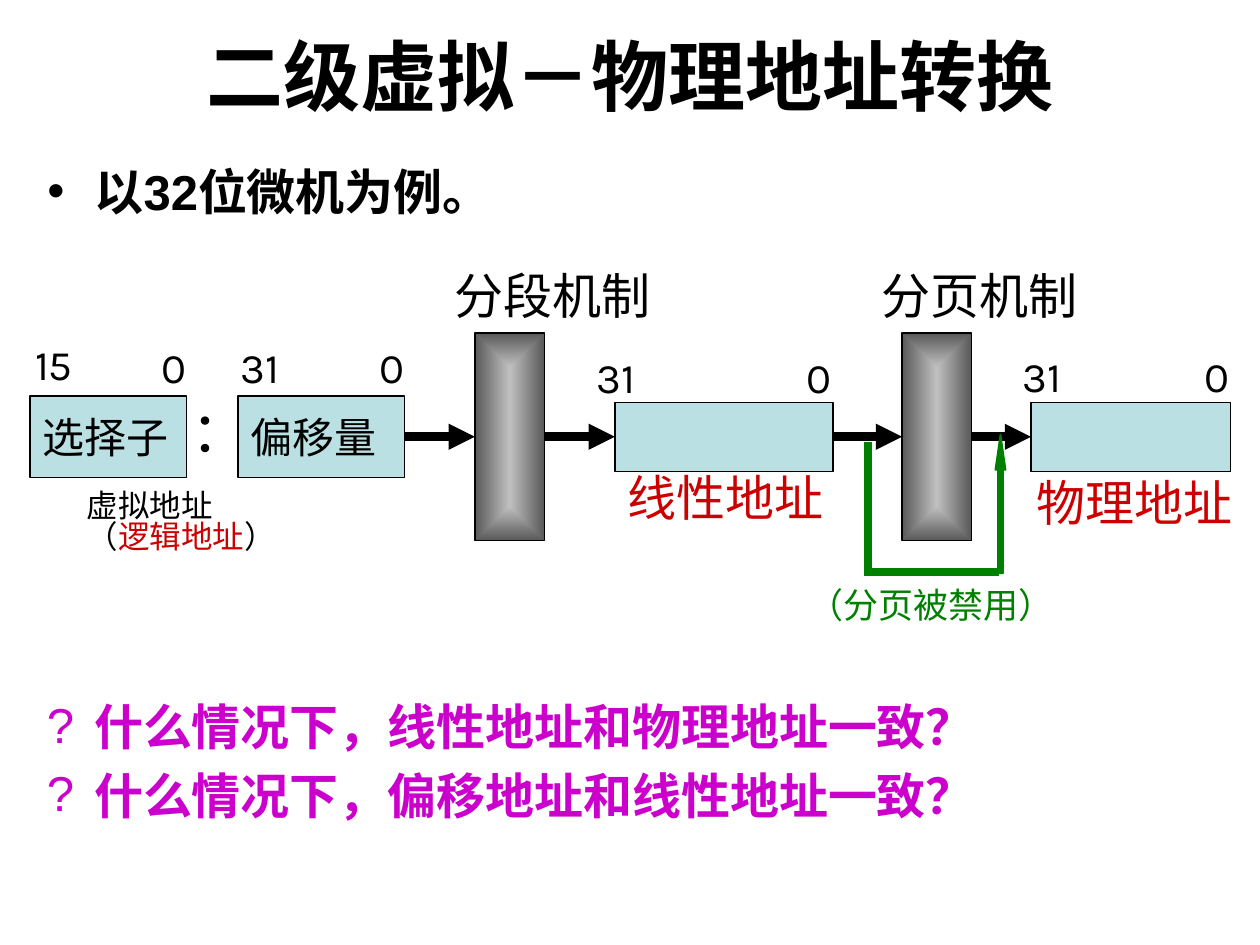
from dataclasses import dataclass

from lxml.etree import SubElement
from pptx import Presentation
from pptx.dml.color import RGBColor as Color
from pptx.enum.shapes import MSO_CONNECTOR as Connector, MSO_SHAPE as Shape
from pptx.enum.text import MSO_ANCHOR as Anchor, MSO_AUTO_SIZE as AutoSize, PP_ALIGN as Align
from pptx.oxml.ns import qn
from pptx.util import Pt


@dataclass(frozen=True)
class Theme:
    """Colours, fonts and type sizes of the slide."""
    black: str = "000000"
    red: str = "CC0000"
    green: str = "008000"
    magenta: str = "CC00CC"
    pale: str = "BBE0E3"
    silver: str = "C0C0C0"
    grey: str = "595959"
    sans: str = "Arial"
    label: str = "Karla"
    title_size: int = 44
    colon_size: int = 32
    list_size: int = 28
    box_size: int = 24
    note_size: int = 20
    small_size: int = 18


class SlideBuilder:
    """Draws each kind of element on the current slide."""

    def __init__(self, slide, theme):
        self.slide = slide
        self.theme = theme

    def add_run(self, paragraph, text, size, color, font, bold=False):
        """Append one formatted run."""
        run = paragraph.add_run()
        run.text = text
        run.font.size = Pt(size)
        run.font.name = font
        run.font.bold = bold
        run.font.color.rgb = Color.from_string(color)

    def place(self, shape, left, top, width, height):
        """Move and size a shape."""
        shape.left, shape.top = Pt(left), Pt(top)
        shape.width, shape.height = Pt(width), Pt(height)

    def indent(self, paragraph, amount):
        """Give a paragraph a hanging indent."""
        properties = paragraph._p.get_or_add_pPr()
        properties.set("marL", str(Pt(amount)))
        properties.set("indent", str(-Pt(amount)))
        return properties

    def title(self, text, *place):
        """Fill the title placeholder."""
        shape = self.slide.shapes.title
        self.place(shape, *place)
        frame = shape.text_frame
        frame.auto_size = AutoSize.NONE
        frame.vertical_anchor = Anchor.MIDDLE
        paragraph = frame.paragraphs[0]
        paragraph.alignment = Align.CENTER
        self.add_run(paragraph, text, self.theme.title_size, self.theme.black, self.theme.sans, True)

    def bullets(self, shape, items, mark, color, *place):
        """Fill a shape with a bulleted list."""
        self.place(shape, *place)
        frame = shape.text_frame
        frame.word_wrap = True
        frame.auto_size = AutoSize.NONE
        for index, item in enumerate(items):
            paragraph = frame.add_paragraph() if index else frame.paragraphs[0]
            paragraph.space_before = Pt(0.2 * self.theme.list_size)
            properties = self.indent(paragraph, 27)
            SubElement(properties, qn("a:buFont"), typeface=self.theme.sans)
            SubElement(properties, qn("a:buChar"), char=mark)
            self.add_run(paragraph, item, self.theme.list_size, color, self.theme.sans, True)

    def label(self, lines, size, font, place, indent=0, spacing=None):
        """Add unwrapped text, each line a list of text and colour pairs."""
        frame = self.slide.shapes.add_textbox(*map(Pt, place)).text_frame
        frame.word_wrap = False
        frame.auto_size = AutoSize.SHAPE_TO_FIT_TEXT
        for index, line in enumerate(lines):
            paragraph = frame.add_paragraph() if index else frame.paragraphs[0]
            if indent:
                self.indent(paragraph, indent)
            if spacing:
                paragraph.line_spacing = spacing
            for text, color in line:
                self.add_run(paragraph, text, size, color, font)

    def shape(self, kind, color, line_color, line_width, place):
        """Add a filled and outlined preset shape."""
        shape = self.slide.shapes.add_shape(kind, *map(Pt, place))
        shape.shadow.inherit = False
        shape.fill.solid()
        shape.fill.fore_color.rgb = Color.from_string(color)
        shape.line.color.rgb = Color.from_string(line_color)
        shape.line.width = Pt(line_width)
        return shape

    def box(self, left, width, height, axis, text=""):
        """Add a rectangle centred on the axis."""
        place = (left, axis - height / 2, width, height)
        shape = self.shape(Shape.RECTANGLE, self.theme.pale, self.theme.black, 0.75, place)
        if text:
            frame = shape.text_frame
            frame.word_wrap = False
            frame.vertical_anchor = Anchor.MIDDLE
            paragraph = frame.paragraphs[0]
            paragraph.alignment = Align.LEFT
            self.add_run(paragraph, text, self.theme.box_size, self.theme.black, self.theme.label)
        return shape

    def mechanism(self, left, axis):
        """Add a tall block shaded from its centre."""
        shape = self.box(left, 39.6, 118.8, axis)
        shape.fill.gradient()
        for stop, color in zip(shape.fill.gradient_stops, (self.theme.silver, self.theme.grey)):
            stop.color.rgb = Color.from_string(color)
        gradient = shape._element.spPr.find(qn("a:gradFill"))
        gradient.remove(gradient.find(qn("a:lin")))
        shade = SubElement(gradient, qn("a:path"), path="shape")
        SubElement(shade, qn("a:fillToRect"), l="50000", t="50000", r="50000", b="50000")
        return shape

    def line(self, start, end, color, width):
        """Add a straight line."""
        points = map(Pt, (*start, *end))
        connector = self.slide.shapes.add_connector(Connector.STRAIGHT, *points)
        connector.line.color.rgb = Color.from_string(color)
        connector.line.width = Pt(width)
        SubElement(connector._element.spPr, qn("a:effectLst"))
        return connector

    def arrow(self, source, target):
        """Join two shapes with an arrow from right side to left side."""
        connector = self.line((0, 0), (0, 0), self.theme.black, 5)
        connector.begin_connect(source, 3)
        connector.end_connect(target, 1)
        outline = connector._element.spPr.find(qn("a:ln"))
        SubElement(outline, qn("a:tailEnd"), type="triangle")


def main():
    """Build the address translation slide."""
    presentation = Presentation()
    presentation.slide_width, presentation.slide_height = Pt(720), Pt(540)
    slide = presentation.slides.add_slide(presentation.slide_layouts[1])
    theme = Theme()
    builder = SlideBuilder(slide, theme)
    axis = 249.6

    builder.title("二级虚拟－物理地址转换", 14.4, 15, 692, 55.5)
    questions = ["什么情况下，线性地址和物理地址一致？", "什么情况下，偏移地址和线性地址一致？"]
    builder.bullets(slide.placeholders[1], questions, "?", theme.magenta, 19.6, 394.5, 680, 96.5)
    example = slide.shapes.add_textbox(0, 0, 0, 0)
    builder.bullets(example, ["以32位微机为例。"], "•", theme.black, 20, 88.6, 680, 48)

    builder.box(17.2, 89.2, 46.8, axis, "选择子")
    offset = builder.box(136, 95, 46.8, axis, "偏移量")
    segmentation = builder.mechanism(271.4, axis)
    linear = builder.box(351.4, 124.6, 39.6, axis)
    paging = builder.mechanism(515.5, axis)
    physical = builder.box(589.2, 113.8, 39.6, axis)
    stages = [offset, segmentation, linear, paging, physical]
    for source, target in zip(stages, stages[1:]):
        builder.arrow(source, target)

    builder.label([[("：", theme.black)]], theme.colon_size, theme.label, (102.2, 223.2, 46.8, 45.4))
    bits = [("15", 13, 190), ("0", 85, 191.5), ("31", 130.3, 191.5), ("0", 209.5, 191.5),
            ("31", 334, 197.3), ("0", 453.6, 197.3), ("31", 577.4, 196.6), ("0", 681.1, 196.6)]
    for text, left, top in bits:
        place = (left, top, 13.7 * len(text) + 13.7, 36)
        builder.label([[(text, theme.black)]], theme.box_size, theme.label, place)
    names = [("分段机制", theme.black, 252.7, 148.3), ("分页机制", theme.black, 496.8, 148.3),
             ("线性地址", theme.red, 351.4, 263.5), ("物理地址", theme.red, 585.4, 266.4)]
    for text, color, left, top in names:
        builder.label([[(text, color)]], theme.list_size, theme.label, (left, top, 126.7, 41))
    virtual = [[("虚拟地址", theme.black)],
               [("（", theme.black), ("逻辑地址", theme.red), ("）", theme.black)]]
    builder.label(virtual, theme.small_size, theme.sans, (42.5, 278.6, 182.2, 67.7), 27, 0.8)

    bypass = builder.shape(Shape.UP_ARROW, theme.green, theme.green, 1, (568.8, 248.4, 5.8, 79.2))
    bypass.adjustments[0], bypass.adjustments[1] = 0.5, 3.45
    builder.line((496.8, 326.9), (571, 326.9), theme.green, 4.5)
    builder.line((496.1, 252.7), (496.1, 329), theme.green, 4.5)
    disabled = [[("（分页被禁用）", theme.green)]]
    builder.label(disabled, theme.note_size, theme.sans, (455, 329.8, 154.8, 31), 41.8)

    presentation.save("out.pptx")


if __name__ == "__main__":
    main()
